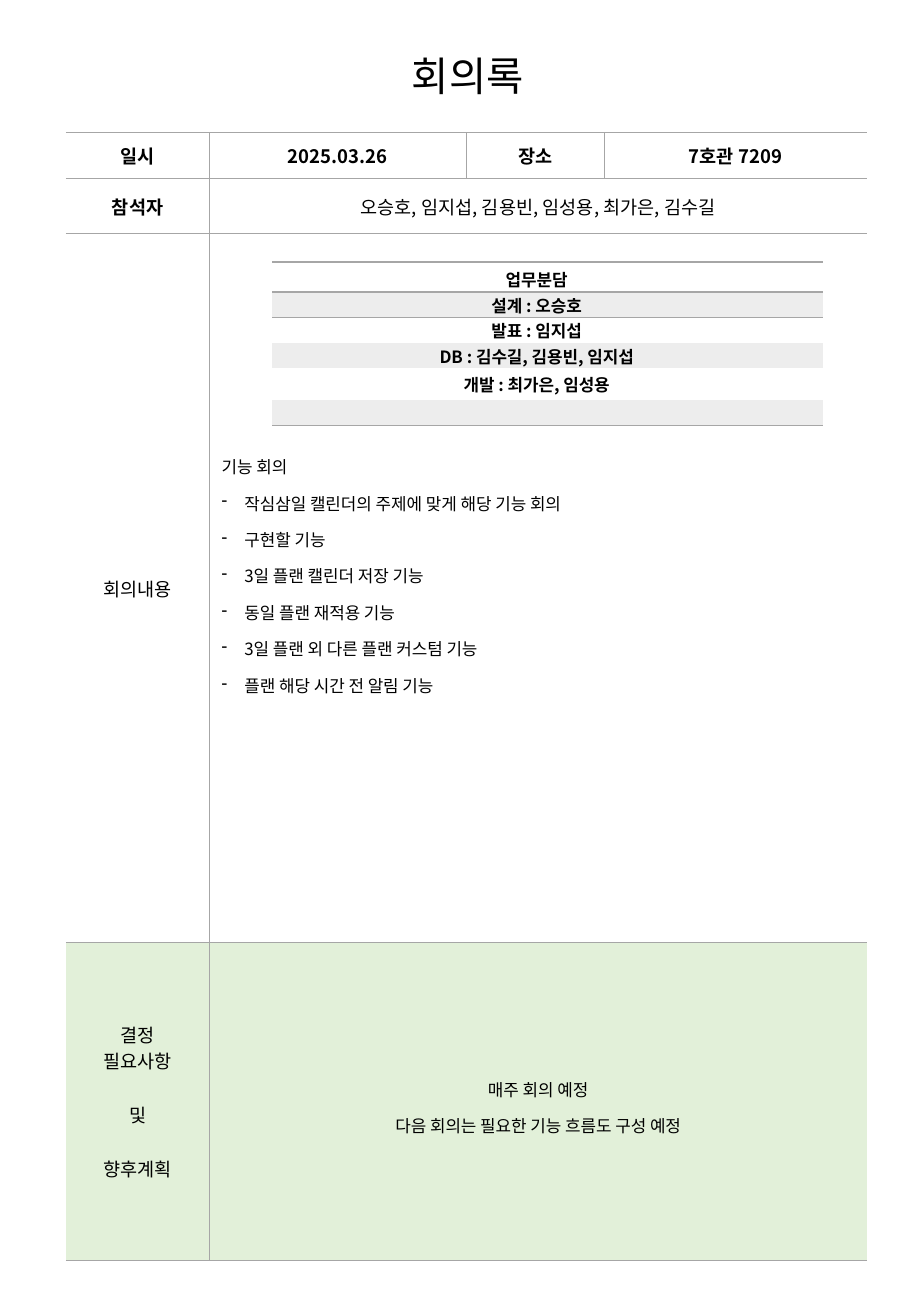
from lxml.etree import SubElement
from pptx import Presentation
from pptx.dml.color import RGBColor
from pptx.enum.text import MSO_ANCHOR as Anchor, PP_ALIGN as Align
from pptx.oxml.ns import qn
from pptx.util import Pt

FONT = "Noto Sans CJK KR"
NO_STYLE = "{2D5ABB26-0587-4C30-8999-92F81FD0307C}"
COLORS = {
    "ink": "000000",
    "paper": "FFFFFF",
    "plan": "E2F0D9",
    "band": "EDEDED",
    "grid": "A6A6A6",
}
BODY = {"size": 10, "line_spacing": 1.5}
LABEL = {"size": 11, "alignment": Align.CENTER}
STRONG = {**LABEL, "bold": True}
DUTY = {"size": 10, "alignment": Align.CENTER, "bold": True}
PLAN = {**BODY, "alignment": Align.CENTER}


def color(name):
    """Return the named colour."""
    return RGBColor.from_string(COLORS[name])


def set_format(item, **values):
    """Set each format value as an attribute of the item."""
    for name, value in values.items():
        setattr(item, name, value)


def write(frame, lines, size, bold=False, **para_format):
    """Write one paragraph per line; a newline inside a line is a line break."""
    for index, line in enumerate(lines):
        para = frame.add_paragraph() if index else frame.paragraphs[0]
        set_format(para, **para_format)
        for number, piece in enumerate(line.split("\n")):
            if number:
                para.add_line_break()
            span = para.add_run()
            span.text = piece
            set_format(span.font, name=FONT, size=Pt(size), bold=bold)
            span.font.color.rgb = color("ink")
            SubElement(span._r.get_or_add_rPr(), qn("a:ea"), typeface=FONT)


def add_dash(para, indent):
    """Give the paragraph a dash with a hanging indent."""
    props = para._p.get_or_add_pPr()
    props.set("marL", str(Pt(indent)))
    props.set("indent", str(-Pt(indent)))
    SubElement(props, qn("a:buChar"), char="-")


def style_cell(cell, fill, borders, **cell_format):
    """Set the borders, fill and layout of a cell."""
    props = cell._tc.get_or_add_tcPr()
    for side, width in borders.items():
        line = SubElement(props, qn(f"a:ln{side}"), w=str(Pt(width)))
        paint = SubElement(line, qn("a:solidFill"))
        SubElement(paint, qn("a:srgbClr"), val=COLORS["grid"])
    cell.fill.solid()
    cell.fill.fore_color.rgb = color(fill)
    set_format(cell, **cell_format)


def add_grid(page, left, top, widths, heights):
    """Add an unstyled table with the given column widths and row heights."""
    frame = page.shapes.add_table(
        len(heights), len(widths), Pt(left), Pt(top), Pt(sum(widths)), Pt(sum(heights))
    )
    table = frame.table
    set_format(table, first_row=False, horz_banding=False)
    table._tbl.tblPr.find(qn("a:tableStyleId")).text = NO_STYLE
    for column, width in zip(table.columns, widths):
        column.width = Pt(width)
    for row, height in zip(table.rows, heights):
        row.height = Pt(height)
    return table


def add_heading(page, left, top, width, height):
    """Place the page title."""
    title = page.shapes.title
    set_format(title, left=Pt(left), top=Pt(top), width=Pt(width), height=Pt(height))
    set_format(title.text_frame, word_wrap=True, vertical_anchor=Anchor.MIDDLE)
    write(title.text_frame, ["회의록"], size=24, alignment=Align.CENTER)


def add_minutes(page, left, top):
    """Place the form that holds the whole record of the meeting."""
    widths = [85.2, 152.3, 81.8, 155.4]
    table = add_grid(page, left, top, widths, [27.3, 32.6, 420.1, 188.4])
    last = len(widths) - 1
    for row in range(1, 4):
        table.cell(row, 1).merge(table.cell(row, last))
    for row in range(4):
        for col in range(last + 1):
            cell = table.cell(row, col)
            if cell.is_spanned:
                continue
            borders = {"L": 0.75} if col else {}
            if col < last and not cell.is_merge_origin:
                borders["R"] = 0.75
            borders["T"] = 0.5 if row in (0, 3) else 0.75
            borders["B"] = 0.5 if row >= 2 else 0.75
            fill = "plan" if row == 3 else "paper"
            style_cell(cell, fill, borders, vertical_anchor=Anchor.MIDDLE)

    for col, text in enumerate(["일시", "2025.03.26", "장소", "7호관 7209"]):
        write(table.cell(0, col).text_frame, [text], **STRONG)
    write(table.cell(1, 0).text_frame, ["참석자"], **STRONG)
    attendees = "오승호, 임지섭, 김용빈, 임성용, 최가은, 김수길"
    write(table.cell(1, 1).text_frame, [attendees], **LABEL)
    write(table.cell(2, 0).text_frame, ["회의내용"], **LABEL)

    topics = table.cell(2, 1)
    topics.margin_bottom = Pt(25.2)
    write(topics.text_frame, [
        "기능 회의",
        "작심삼일 캘린더의 주제에 맞게 해당 기능 회의",
        "구현할 기능",
        "3일 플랜 캘린더 저장 기능",
        "동일 플랜 재적용 기능",
        "3일 플랜 외 다른 플랜 커스텀 기능",
        "플랜 해당 시간 전 알림 기능",
    ], **BODY)
    for para in topics.text_frame.paragraphs[1:]:
        add_dash(para, 13.5)

    decisions = table.cell(3, 0).text_frame
    write(decisions, ["결정\n필요사항", "및", "향후계획"], **LABEL)
    for para in decisions.paragraphs[1:]:
        para.space_before = Pt(16)
    write(table.cell(3, 1).text_frame,
          ["매주 회의 예정", "다음 회의는 필요한 기능 흐름도 구성 예정"], **PLAN)


def add_duties(page, left, top):
    """Place the table that shares out the work."""
    duties = ["업무분담", "설계 : 오승호", "발표 : 임지섭",
              "DB : 김수길, 김용빈, 임지섭", "개발 : 최가은, 임성용", ""]
    table = add_grid(page, left, top, [313.2, 13], [17.8, 15.1, 15.1, 15.1, 18.6, 15.1])
    edges = {0: {"T": 1, "B": 1}, 1: {"T": 1}, 5: {"B": 1}}
    for row, duty in enumerate(duties):
        for col, text in enumerate([duty, ""]):
            cell = table.cell(row, col)
            style_cell(
                cell, "band" if row % 2 else "paper", edges.get(row, {}),
                margin_left=0, margin_right=0, margin_bottom=0,
                margin_top=0 if row else Pt(3.2),
                vertical_anchor=Anchor.MIDDLE if row else Anchor.TOP,
            )
            if text:
                write(cell.text_frame, [text], **DUTY)
            else:
                para = cell.text_frame.paragraphs[0]
                SubElement(para._p, qn("a:endParaRPr"), sz="1000")


def main():
    """Build the one-page meeting record."""
    deck = Presentation()
    set_format(deck, slide_width=Pt(540), slide_height=Pt(780))
    page = deck.slides.add_slide(deck.slide_layouts[5])
    add_heading(page, 101.5, 26.6, 351.4, 36)
    add_minutes(page, 39, 78.5)
    add_duties(page, 161.5, 155.4)
    deck.save("out.pptx")


if __name__ == "__main__":
    main()
